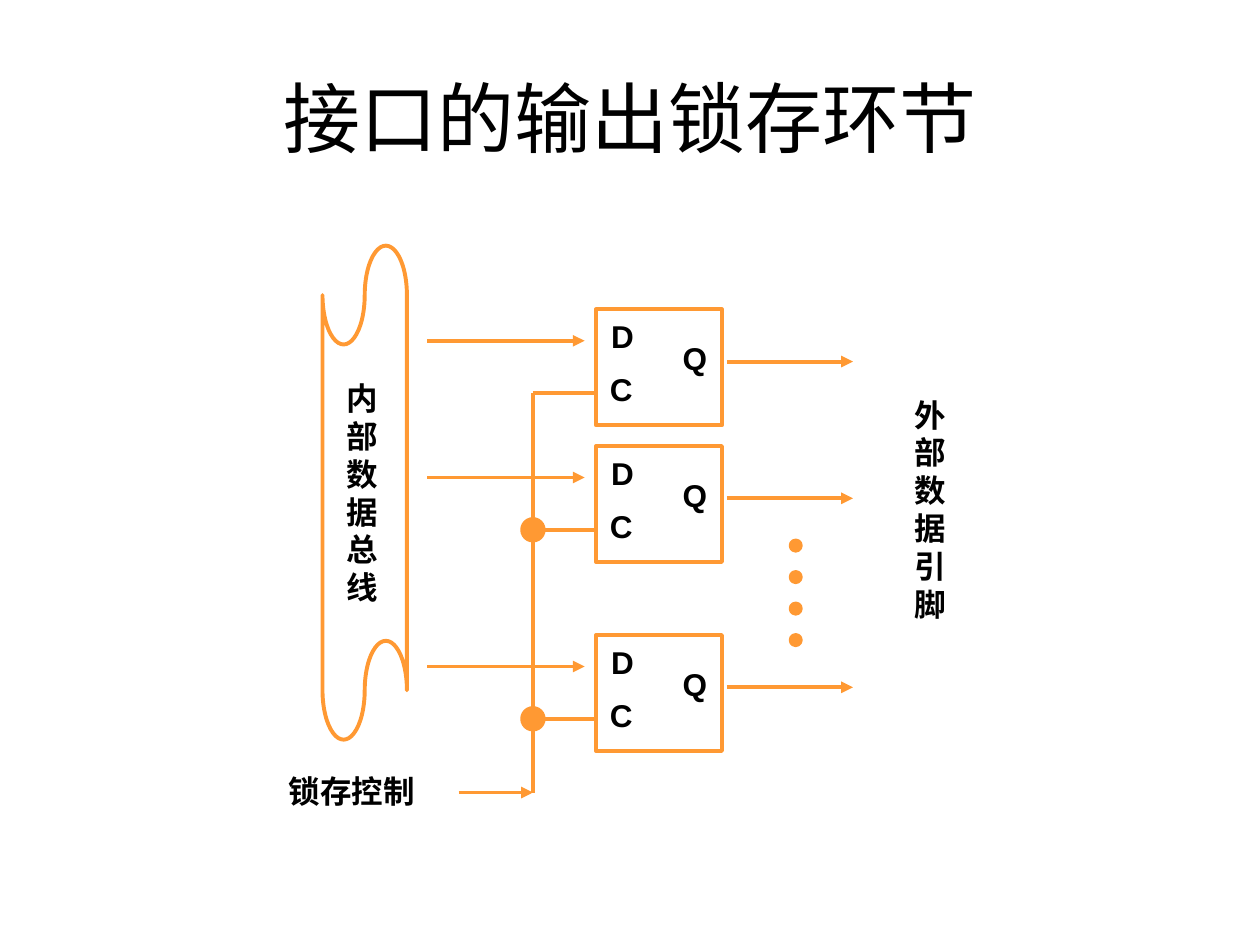
from dataclasses import dataclass

from lxml import etree
from pptx import Presentation
from pptx.dml.color import RGBColor
from pptx.enum.shapes import MSO_CONNECTOR, MSO_SHAPE
from pptx.enum.text import MSO_ANCHOR, PP_ALIGN
from pptx.oxml.ns import qn
from pptx.util import Inches, Pt


@dataclass(frozen=True)
class Theme:
    ink: RGBColor = RGBColor(0, 0, 0)
    accent: RGBColor = RGBColor(0xFF, 0x99, 0x33)
    title_font: str = "Calibri"
    label_font: str = "Arial"
    title_size: int = 44
    label_size: int = 18
    line_width: float = 2.25


class Diagram:
    """Draws on one slide, with lengths in columns and rows of a grid."""

    COLUMNS, ROWS = 100, 75

    def __init__(self, prs, theme):
        self.theme = theme
        self.column = prs.slide_width / self.COLUMNS
        self.row = prs.slide_height / self.ROWS
        self.shapes = prs.slides.add_slide(prs.slide_layouts[6]).shapes

    def place(self, x, y, w, h):
        return [round(v) for v in (x * self.column, y * self.row,
                                   w * self.column, h * self.row)]

    def stroke(self, line):
        line.color.rgb = self.theme.accent
        line.width = Pt(self.theme.line_width)

    def text(self, lines, box, wrap=False, **font):
        tf = self.shapes.add_textbox(*self.place(*box)).text_frame
        for name, value in {"word_wrap": wrap,
                            "vertical_anchor": MSO_ANCHOR.MIDDLE}.items():
            setattr(tf, name, value)
        style = {"name": self.theme.label_font, "bold": True,
                 "size": Pt(self.theme.label_size)} | font
        for i, line in enumerate(lines):
            p = tf.paragraphs[0] if i == 0 else tf.add_paragraph()
            p.alignment = PP_ALIGN.CENTER
            r = p.add_run()
            r.text = line
            r.font.color.rgb = self.theme.ink
            for name, value in style.items():
                setattr(r.font, name, value)

    def title(self, text, box):
        self.text([text], box, wrap=True, name=self.theme.title_font,
                  bold=False, size=Pt(self.theme.title_size))

    def outline(self, kind, box):
        sp = self.shapes.add_shape(kind, *self.place(*box))
        sp.shadow.inherit = False
        sp.fill.background()
        self.stroke(sp.line)
        return sp

    def dot(self, x, y, size):
        """Draw a filled circle centred on x, y."""
        sp = self.outline(MSO_SHAPE.OVAL,
                          (x - size / 2, y - size / 2, size, size))
        sp.fill.solid()
        sp.fill.fore_color.rgb = self.theme.accent

    def line(self, x1, y1, x2, y2, arrow=False):
        cxn = self.shapes.add_connector(MSO_CONNECTOR.STRAIGHT,
                                        *self.place(x1, y1, x2, y2))
        self.stroke(cxn.line)
        if arrow:
            etree.SubElement(cxn.line._get_or_add_ln(), qn("a:tailEnd"),
                             type="triangle")
        etree.SubElement(cxn._element.spPr, qn("a:effectLst"))

    def latch(self, y, control_x):
        """Draw a D latch with its input, control and output lines."""
        left, width = 47.3, 10
        data_y, clock_y, out_y = y + 2.5, y + 6.65, y + 4.15
        self.line(33.9, data_y, 46.4, data_y, arrow=True)
        self.line(control_x, clock_y, left, clock_y)
        self.line(57.7, out_y, 67.7, out_y, arrow=True)
        for pin, x, dy in (("D", 47.5, 0.15), ("C", 47.4, 4.35),
                           ("Q", 53.2, 1.85)):
            self.text([pin], (x, y + dy, 3.8, 4))
        self.outline(MSO_SHAPE.RECTANGLE, (left, y, width, 9.2))


def main():
    prs = Presentation()
    prs.slide_width, prs.slide_height = Inches(10), Inches(7.5)
    d = Diagram(prs, Theme())
    control_x, control_y = 42.3, 62.9
    latch_tops = (24.55, 35.4, 50.4)

    d.title("接口的输出锁存环节", (5, 3, 90, 12.5))
    d.text("内部数据总线", (26.5, 29.6, 4.5, 19))
    d.outline(MSO_SHAPE.FLOWCHART_PUNCHED_TAPE, (25.6, 19.5, 6.7, 39.2))
    d.text("外部数据引脚", (71.6, 30.9, 4.5, 19))

    d.text(["锁存控制"], (21.9, 60.8, 12, 4))
    d.line(36.4, control_y, control_x, control_y, arrow=True)
    d.line(control_x, latch_tops[0] + 6.65, control_x, control_y)

    for top in latch_tops:
        d.latch(top, control_x)
    for top in latch_tops[1:]:
        d.dot(control_x, top + 6.65, 1.7)
    for i in range(4):
        d.dot(63.15, 43.3 + 2.5 * i, 0.8)

    prs.save("out.pptx")


if __name__ == "__main__":
    main()
